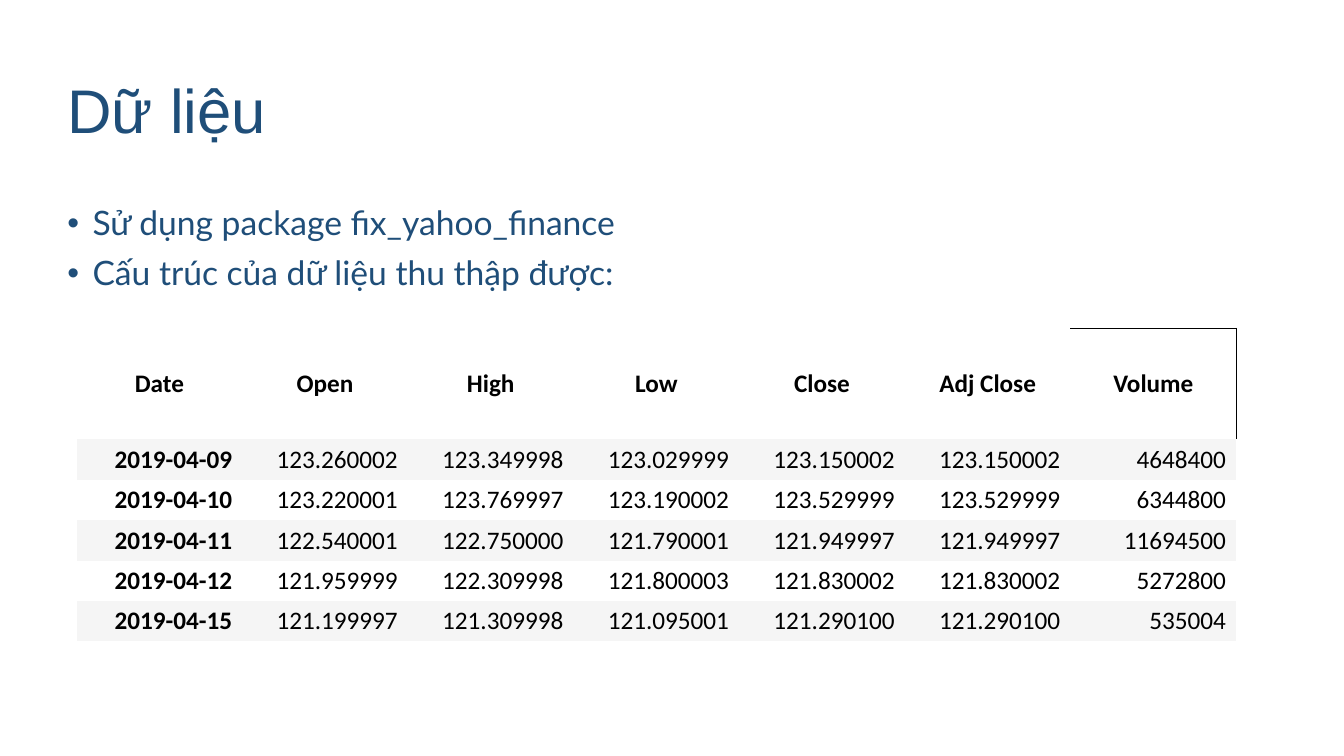
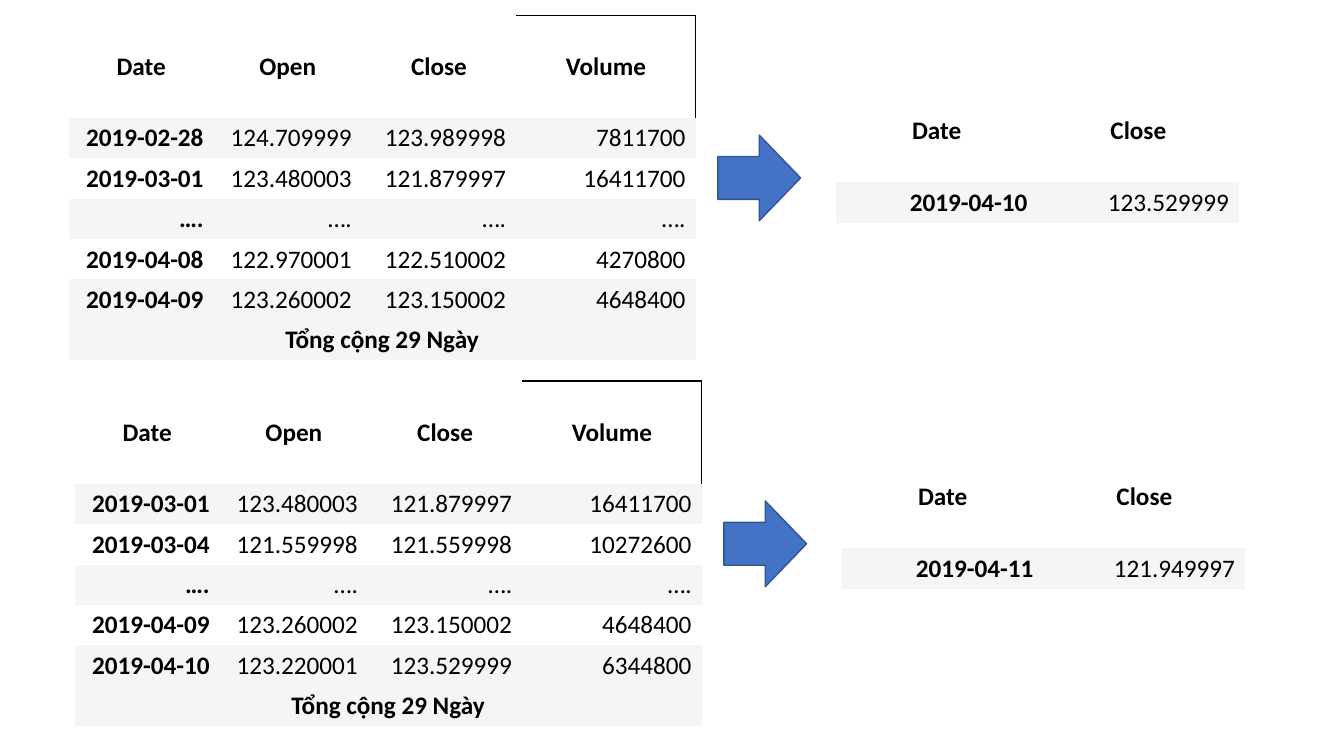
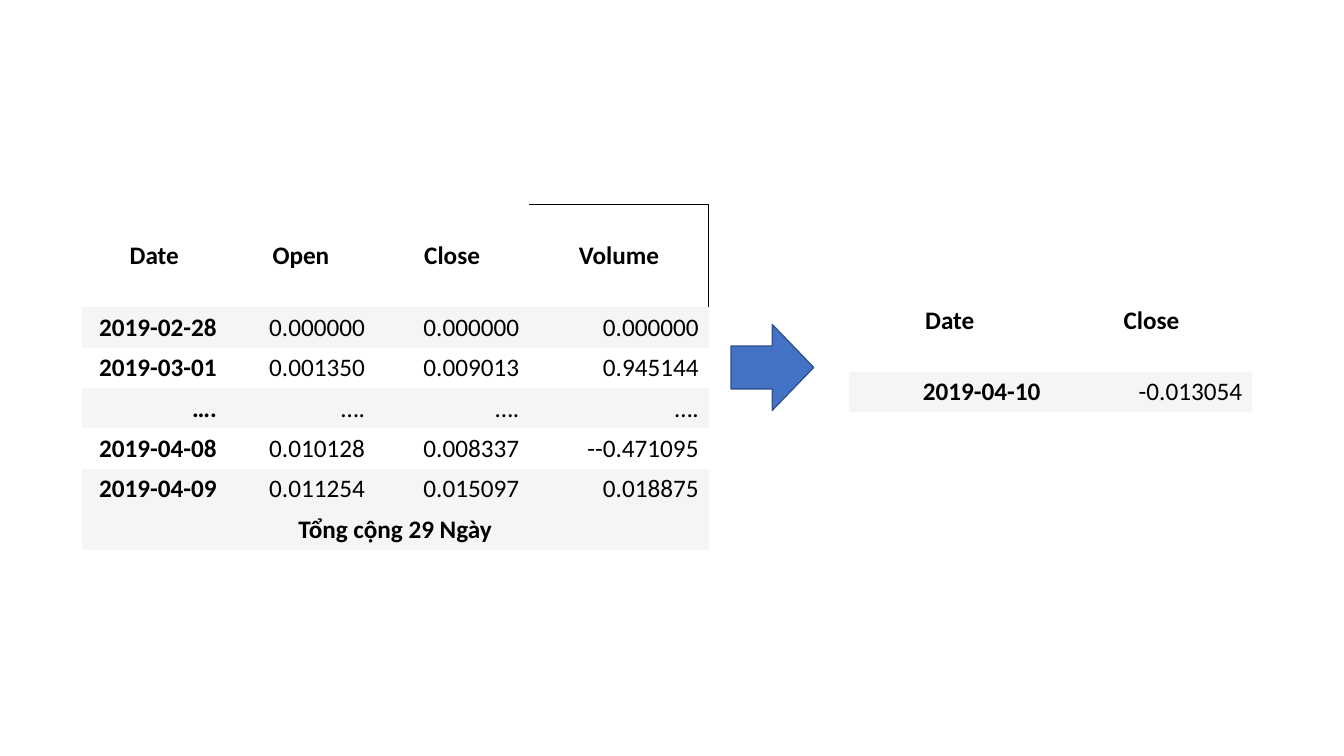
"""Build three slides on stock price data, its windows and its scaled form."""
from lxml import etree
from pptx import Presentation
from pptx.dml.color import RGBColor
from pptx.enum import shapes, text
from pptx.oxml import ns
from pptx.util import Inches, Pt


def color(code):
    return RGBColor.from_string(code)


class Deck:
    NAVY, BLACK, BAND = "1F4E79", "000000", "F5F5F5"
    BLUE, EDGE = "4472C4", "325491"
    HEAD, BODY, CELL = "Arial", "Lato", "Calibri"
    PLAIN = "{2D5ABB26-0587-4C30-8999-92F81FD0307C}"
    ROW = 0.4

    def __init__(self):
        self.prs = Presentation()
        self.prs.slide_width = Inches(13.33)
        self.prs.slide_height = Inches(7.5)
        self.slide = None

    def page(self):
        self.slide = self.prs.slides.add_slide(self.prs.slide_layouts[6])

    def font(self, par, name, size, code, bold=False):
        par.font.name = name
        par.font.size = Pt(size)
        par.font.bold = bold
        par.font.color.rgb = color(code)

    def lines(self, box, items, name, size, anchor):
        frame = self.slide.shapes.add_textbox(*map(Inches, box)).text_frame
        frame.word_wrap = True
        frame.vertical_anchor = anchor
        frame.text = "\n".join(items)
        for par in frame.paragraphs:
            par.line_spacing = 0.9
            self.font(par, name, size, self.NAVY)
        return frame.paragraphs

    def title(self, words):
        self.lines((0.57, 0.4, 9.16, 1.45), [words], self.HEAD, 44,
                   text.MSO_ANCHOR.MIDDLE)

    def bullets(self, items):
        pars = self.lines((0.57, 2, 9.16, 4.76), items, self.BODY, 24,
                          text.MSO_ANCHOR.TOP)
        for par in pars:
            par.space_before = Pt(10)
            props = par._p.get_or_add_pPr()
            props.set("marL", str(Inches(0.25)))
            props.set("indent", str(-Inches(0.25)))
            etree.SubElement(props, ns.qn("a:buFont")).set("typeface", "Arial")
            etree.SubElement(props, ns.qn("a:buChar")).set("char", "•")

    def border(self, cell):
        props = cell._tc.get_or_add_tcPr()
        for spot, side in enumerate(("a:lnR", "a:lnT")):
            line = etree.Element(ns.qn(side), w=str(Pt(1)))
            fill = etree.SubElement(line, ns.qn("a:solidFill"))
            etree.SubElement(fill, ns.qn("a:srgbClr")).set("val", self.BLACK)
            props.insert(spot, line)

    def cell(self, cell, words, align, bold, band):
        cell.text = words
        cell.vertical_anchor = text.MSO_ANCHOR.MIDDLE
        par = cell.text_frame.paragraphs[0]
        par.alignment = align
        self.font(par, self.CELL, 18, self.BLACK, bold)
        if band:
            cell.fill.solid()
            cell.fill.fore_color.rgb = color(self.BAND)
        else:
            cell.fill.background()

    def table(self, left, top, cols, head, rows, total=None, edge=True):
        high = 1.1 if len(cols) > 4 else 1.02
        count = len(rows) + (2 if total else 1)
        box = left, top, sum(cols), high + self.ROW * (count - 1)
        grid = self.slide.shapes.add_table(
            count, len(cols), *map(Inches, box)).table
        grid._tbl.tblPr.find(ns.qn("a:tableStyleId")).text = self.PLAIN
        grid.first_row = grid.horz_banding = False
        for col, width in zip(grid.columns, cols):
            col.width = Inches(width)
        for r, row in enumerate(grid.rows):
            row.height = Inches(self.ROW if r else high)
        for r, line in enumerate([head] + rows):
            align = text.PP_ALIGN.RIGHT if r else text.PP_ALIGN.CENTER
            for c, words in enumerate(line.split()):
                self.cell(grid.cell(r, c), words.replace("_", " "), align,
                          r == 0 or c == 0, r % 2 == 1)
        if edge:
            self.border(grid.cell(0, len(cols) - 1))
        if total:
            first = grid.cell(count - 1, 0)
            first.merge(grid.cell(count - 1, len(cols) - 1))
            self.cell(first, total, text.PP_ALIGN.CENTER, True, True)

    def arrow(self, left, top):
        shape = self.slide.shapes.add_shape(
            shapes.MSO_SHAPE.RIGHT_ARROW,
            *map(Inches, (left, top, 0.82, 0.85)))
        shape.shadow.inherit = False
        shape.fill.solid()
        shape.fill.fore_color.rgb = color(self.BLUE)
        shape.line.color.rgb = color(self.EDGE)
        shape.line.width = Pt(1)

    def window(self, left, top, rows, result):
        self.table(left, top, (1.44, 1.47, 1.53, 1.78),
                   "Date Open Close Volume", rows, "Tổng cộng 29 Ngày")
        self.table(left + 7.61, top + 0.64, (2, 2), "Date Close", [result],
                   edge=False)
        self.arrow(left + 6.44, top + 1.19)


deck = Deck()
GAP = "…. …. …. …."

deck.page()
deck.title("Dữ liệu")
deck.bullets(["Sử dụng package fix_yahoo_finance",
              "Cấu trúc của dữ liệu thu thập được:"])
deck.table(0.76, 3.26, [1.643] * 7,
           "Date Open High Low Close Adj_Close Volume", [
    "2019-04-09 123.260002 123.349998 123.029999 123.150002 123.150002 4648400",
    "2019-04-10 123.220001 123.769997 123.190002 123.529999 123.529999 6344800",
    "2019-04-11 122.540001 122.750000 121.790001 121.949997 121.949997 11694500",
    "2019-04-12 121.959999 122.309998 121.800003 121.830002 121.830002 5272800",
    "2019-04-15 121.199997 121.309998 121.095001 121.290100 121.290100 535004",
])

deck.page()
deck.window(0.68, 0.15, [
    "2019-02-28 124.709999 123.989998 7811700",
    "2019-03-01 123.480003 121.879997 16411700",
    GAP,
    "2019-04-08 122.970001 122.510002 4270800",
    "2019-04-09 123.260002 123.150002 4648400",
], "2019-04-10 123.529999")
deck.window(0.74, 3.78, [
    "2019-03-01 123.480003 121.879997 16411700",
    "2019-03-04 121.559998 121.559998 10272600",
    GAP,
    "2019-04-09 123.260002 123.150002 4648400",
    "2019-04-10 123.220001 123.529999 6344800",
], "2019-04-11 121.949997")

deck.page()
deck.window(0.81, 2.03, [
    "2019-02-28 0.000000 0.000000 0.000000",
    "2019-03-01 0.001350 0.009013 0.945144",
    GAP,
    "2019-04-08 0.010128 0.008337 --0.471095",
    "2019-04-09 0.011254 0.015097 0.018875",
], "2019-04-10 -0.013054")

deck.prs.save("out.pptx")
